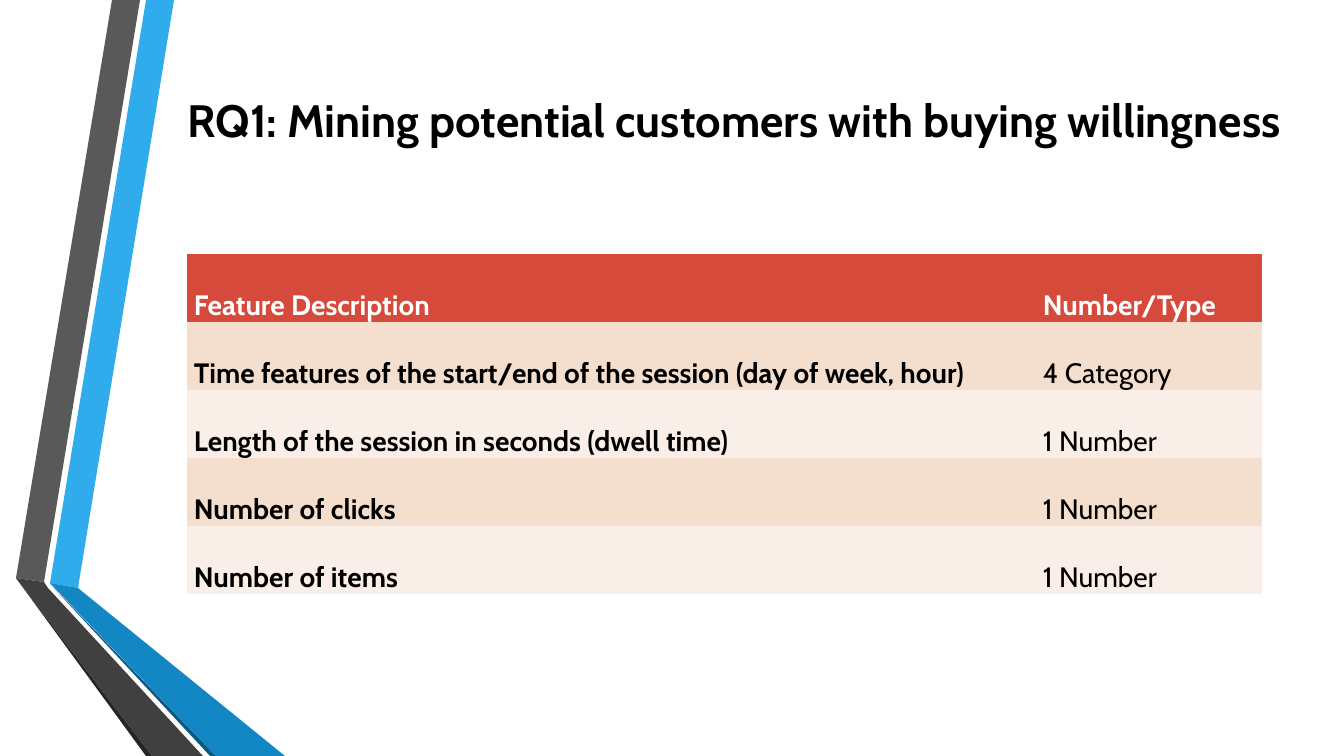
from pptx import Presentation
from pptx.dml.color import RGBColor
from pptx.enum.text import MSO_ANCHOR, PP_ALIGN
from pptx.oxml.ns import qn
from pptx.util import Emu, Pt

SCALE = 914400 / 100.8
FONT = "Cabin"
NO_GRID_STYLE = "{2D5ABB26-0587-4C30-8999-92F81FD0307C}"
COLORS = {
    "blue": "30ACEC",
    "blue_fold": "1287C3",
    "blue_edge": "0C5A82",
    "gray": "595959",
    "gray_fold": "404040",
    "gray_edge": "262626",
    "header": "D64A3B",
    "band_dark": "F4DFCE",
    "band_light": "FAEFE8",
    "black": "000000",
    "white": "FFFFFF",
}
RIBBONS = [
    ("blue", [(50, 583), (78, 588), (174, 0), (146, 0)]),
    ("gray", [(140, 0), (112, 0), (16, 578), (44, 582)]),
    ("gray_edge", [(16, 578), (146, 756), (152, 756)]),
    ("blue_edge", [(50, 584), (210, 756), (216, 756)]),
    ("blue_fold", [(50, 583), (216, 756), (285, 756), (78, 588)]),
    ("gray_fold", [(203, 756), (48, 588), (44, 582), (16, 578), (152, 756)]),
]
FEATURES = [
    ("Feature Description", "Number/Type"),
    ("Time features of the start/end of the session (day of week, hour)", "4 Category"),
    ("Length of the session in seconds (dwell time)", "1 Number"),
    ("Number of clicks", "1 Number"),
    ("Number of items", "1 Number"),
]
COLUMN_WIDTHS = [849, 226]
ROW_HEIGHT = 68


def px(length):
    return Emu(round(length * SCALE))


def color(name):
    return RGBColor.from_string(COLORS[name])


def add_run(paragraph, text, size, color_name, bold):
    run = paragraph.add_run()
    run.text = text
    run.font.name = FONT
    run.font.size = Pt(size)
    run.font.bold = bold
    run.font.color.rgb = color(color_name)


def add_ribbon(slide, color_name, points):
    builder = slide.shapes.build_freeform(*points[0], scale=SCALE)
    builder.add_line_segments(points[1:], close=True)
    shape = builder.convert_to_shape()
    shape.shadow.inherit = False
    shape.fill.solid()
    shape.fill.fore_color.rgb = color(color_name)
    shape.line.fill.background()


def add_title(slide, text):
    box = slide.shapes.add_textbox(px(100), px(79), px(1268), px(136))
    frame = box.text_frame
    frame.word_wrap = True
    frame.vertical_anchor = MSO_ANCHOR.TOP
    frame.margin_top = px(13)
    paragraph = frame.paragraphs[0]
    paragraph.alignment = PP_ALIGN.CENTER
    add_run(paragraph, text, 32.4, "black", True)


def fill_cell(cell, text, fill_name, text_color, bold):
    cell.fill.solid()
    cell.fill.fore_color.rgb = color(fill_name)
    cell.margin_left = cell.margin_right = px(7)
    cell.margin_top = cell.margin_bottom = 0
    paragraph = cell.text_frame.paragraphs[0]
    paragraph.line_spacing = 2.0
    add_run(paragraph, text, 20, text_color, bold)


def add_feature_table(slide):
    frame = slide.shapes.add_table(
        len(FEATURES), len(COLUMN_WIDTHS), px(187), px(254),
        px(sum(COLUMN_WIDTHS)), px(ROW_HEIGHT * len(FEATURES)))
    table = frame.table
    table.horz_banding = False
    table._tbl.tblPr.find(qn("a:tableStyleId")).text = NO_GRID_STYLE
    for column, width in zip(table.columns, COLUMN_WIDTHS):
        column.width = px(width)
    for row_index, texts in enumerate(FEATURES):
        table.rows[row_index].height = px(ROW_HEIGHT)
        is_header = row_index == 0
        band = "band_dark" if row_index % 2 else "band_light"
        for column_index, text in enumerate(texts):
            fill_cell(
                table.cell(row_index, column_index), text,
                "header" if is_header else band,
                "white" if is_header else "black",
                is_header or column_index == 0)


def main():
    presentation = Presentation()
    presentation.slide_width = px(1344)
    presentation.slide_height = px(756)
    slide = presentation.slides.add_slide(presentation.slide_layouts[6])
    for color_name, points in RIBBONS:
        add_ribbon(slide, color_name, points)
    add_title(slide, "RQ1: Mining potential customers with buying willingness")
    add_feature_table(slide)
    presentation.save("out.pptx")


if __name__ == "__main__":
    main()
